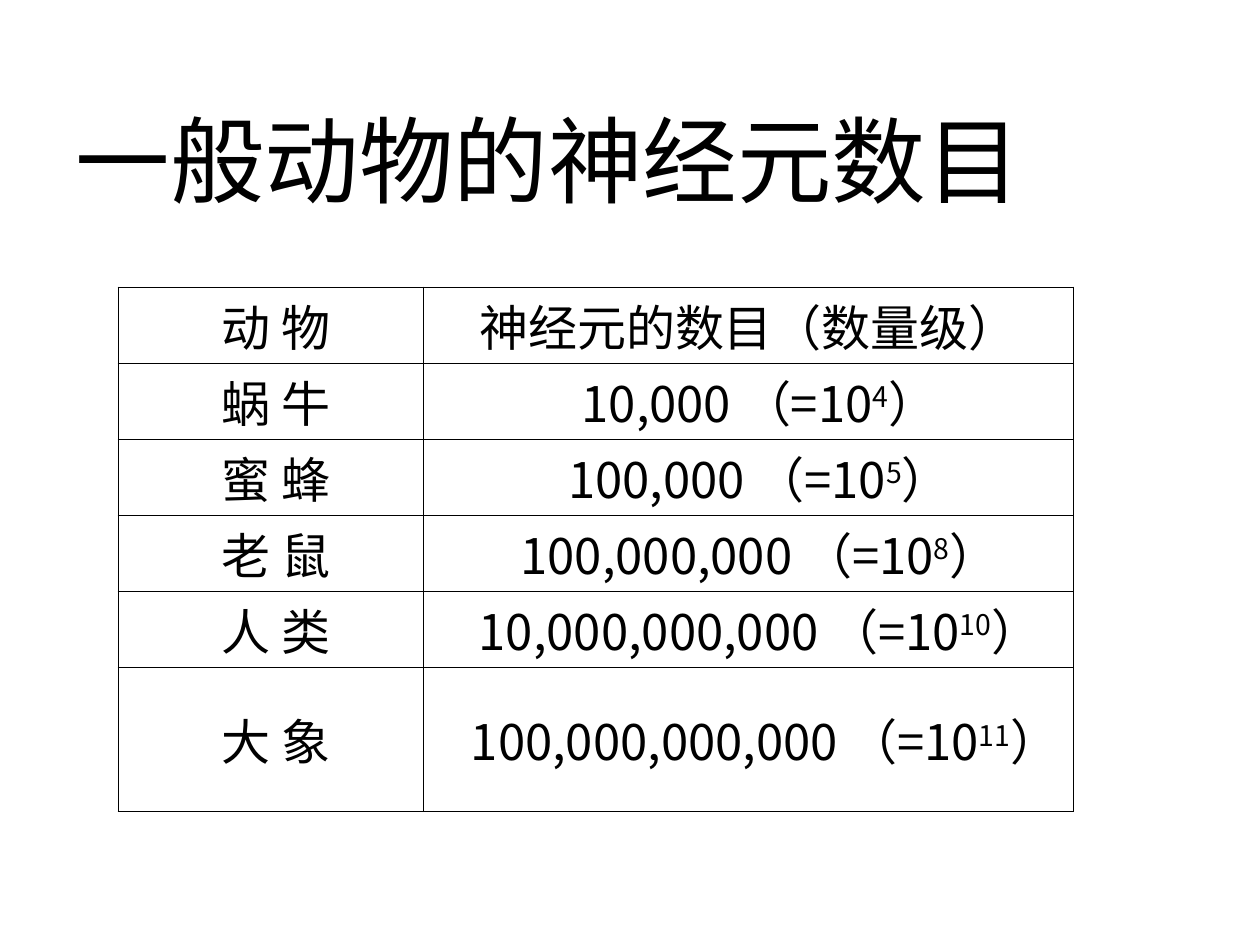
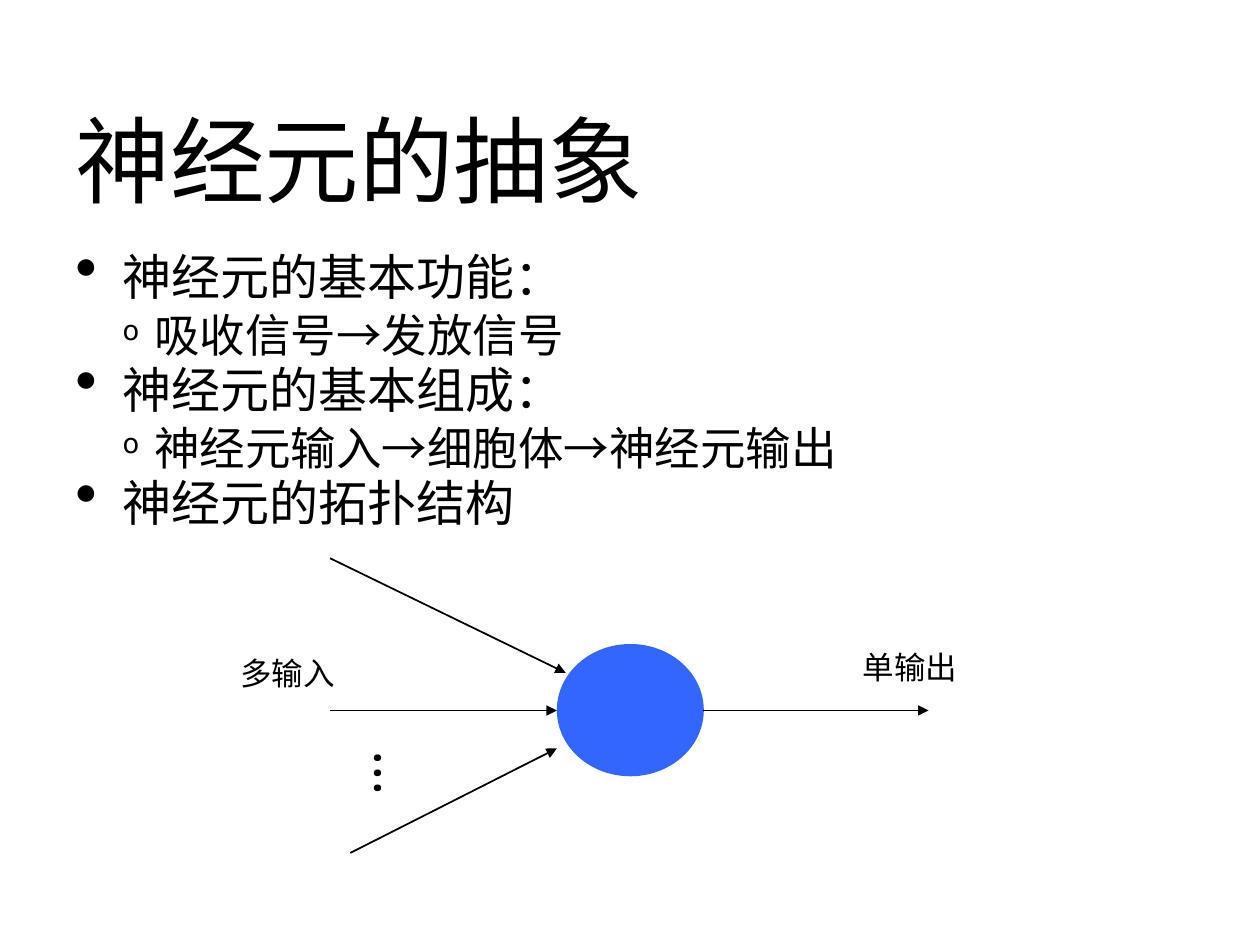
from lxml import etree
from pptx import Presentation
from pptx.dml.color import RGBColor
from pptx.enum.shapes import MSO_CONNECTOR, MSO_SHAPE
from pptx.enum.text import MSO_ANCHOR, MSO_AUTO_SIZE, PP_ALIGN
from pptx.oxml.ns import qn
from pptx.util import Pt

LEFT, CENTER = PP_ALIGN.LEFT, PP_ALIGN.CENTER
TOP, MIDDLE = MSO_ANCHOR.TOP, MSO_ANCHOR.MIDDLE
NO_FIT, GROW = MSO_AUTO_SIZE.NONE, MSO_AUTO_SIZE.SHAPE_TO_FIT_TEXT
STRAIGHT, ELLIPSE = MSO_CONNECTOR.STRAIGHT, MSO_SHAPE.OVAL

BLACK = RGBColor(0x00, 0x00, 0x00)
CELL_BODY_BLUE = RGBColor(0x33, 0x66, 0xFF)
CJK_FONT, SYMBOL_FONT = "Noto Sans CJK SC", "Cambria"
TITLE_ONLY = 5
TITLE_BOX = (36, 54.7, 648, 72)

# Per outline level: size, left margin, hanging indent, bullet, bullet percent
LEVELS = [
    (28, 27, -27, "•", 130),
    (26, 45, -18, "o", 60),
]

ANIMAL_EXPONENTS = [
    ("蜗 牛", 4), ("蜜 蜂", 5), ("老 鼠", 8), ("人 类", 10), ("大 象", 11),
]
NEURON_OUTLINE = [
    (0, "神经元的基本功能："),
    (1, "吸收信号→发放信号"),
    (0, "神经元的基本组成："),
    (1, "神经元输入→细胞体→神经元输出"),
    (0, "神经元的拓扑结构"),
]
INPUT_ARROWS = [
    (188.6, 319, 323.3, 384.5),
    (188.6, 406, 318.2, 406),
    (200.2, 487.4, 318.2, 427.7),
]
OUTPUT_ARROW = (402, 406, 530.6, 406)


def set_all(target, values):
    for name, value in values.items():
        setattr(target, name, value)


def add_xml(parent, tag, **attributes):
    return etree.SubElement(parent, qn(tag), attributes)


class Deck:
    def __init__(self):
        self.presentation = Presentation()
        set_all(self.presentation, {"slide_width": Pt(720), "slide_height": Pt(540)})
        self.slide = None

    def add_slide(self, title):
        layout = self.presentation.slide_layouts[TITLE_ONLY]
        self.slide = self.presentation.slides.add_slide(layout)
        heading = self.slide.shapes.title
        for side, value in zip(("left", "top", "width", "height"), TITLE_BOX):
            setattr(heading, side, Pt(value))
        set_all(heading.text_frame, {
            "auto_size": NO_FIT, "vertical_anchor": MIDDLE, "word_wrap": True})
        paragraph = heading.text_frame.paragraphs[0]
        paragraph.alignment = LEFT
        self.add_run(paragraph, title, 54)

    def add_run(self, paragraph, text, size, font=CJK_FONT, superscript=False):
        run = paragraph.add_run()
        run.text = text
        set_all(run.font, {"size": Pt(size), "name": font, "bold": False})
        run.font.color.rgb = BLACK
        properties = run.font._element
        add_xml(properties, "a:ea", typeface=font)
        if superscript:
            properties.set("baseline", "30000")

    def add_text_box(self, box, auto_size=GROW):
        frame = self.slide.shapes.add_textbox(*map(Pt, box)).text_frame
        set_all(frame, {
            "word_wrap": True, "auto_size": auto_size, "vertical_anchor": TOP})
        return frame

    def add_label(self, text, box, size=18, font=CJK_FONT, vertical=None):
        frame = self.add_text_box(box)
        if vertical:
            frame._txBody.bodyPr.set("vert", vertical)
        self.add_run(frame.paragraphs[0], text, size, font)

    def add_outline(self, items, box):
        frame = self.add_text_box(box, NO_FIT)
        frame.margin_top = Pt(8)
        for index, (level, text) in enumerate(items):
            paragraph = frame.add_paragraph() if index else frame.paragraphs[0]
            size, margin, indent, bullet, percent = LEVELS[level]
            set_all(paragraph, {"level": level, "line_spacing": Pt(32.3)})
            properties = paragraph._p.get_or_add_pPr()
            properties.set("marL", str(Pt(margin)))
            properties.set("indent", str(Pt(indent)))
            add_xml(properties, "a:buSzPct", val=str(percent * 1000))
            add_xml(properties, "a:buChar", char=bullet)
            self.add_run(paragraph, text, size)

    def add_table(self, rows, box, column_widths):
        """Each cell is a first-line indent and a list of (text, superscript)."""
        frame = self.slide.shapes.add_table(
            len(rows), len(column_widths), *map(Pt, box))
        table = frame.table
        set_all(table, {"first_row": False, "horz_banding": False})
        for column, width in zip(table.columns, column_widths):
            column.width = Pt(width)
        for row, contents in zip(table.rows, rows):
            row.height = Pt(box[3] / len(rows))
            for cell, (indent, pieces) in zip(row.cells, contents):
                self.format_cell(cell)
                paragraph = cell.text_frame.paragraphs[0]
                paragraph.alignment = CENTER
                paragraph._p.get_or_add_pPr().set("indent", str(Pt(indent)))
                for text, superscript in pieces:
                    self.add_run(paragraph, text, 28, superscript=superscript)

    def format_cell(self, cell):
        margins = ("margin_left", "margin_top", "margin_right", "margin_bottom")
        set_all(cell, dict.fromkeys(margins, Pt(0.72)))
        cell.vertical_anchor = MIDDLE
        properties = cell._tc.get_or_add_tcPr()
        for side in ("a:lnL", "a:lnR", "a:lnT", "a:lnB"):
            border = add_xml(properties, side, w=str(Pt(1)))
            add_xml(add_xml(border, "a:solidFill"), "a:srgbClr", val=str(BLACK))
        cell.fill.background()

    def add_ellipse(self, box, color):
        ellipse = self.slide.shapes.add_shape(ELLIPSE, *map(Pt, box))
        ellipse.shadow.inherit = False
        ellipse.fill.solid()
        ellipse.fill.fore_color.rgb = color
        ellipse.line.fill.background()

    def add_arrow(self, ends):
        arrow = self.slide.shapes.add_connector(STRAIGHT, *map(Pt, ends))
        arrow.line.width = Pt(1)
        arrow.line.color.rgb = BLACK
        add_xml(arrow.line._get_or_add_ln(), "a:tailEnd", type="triangle")
        add_xml(arrow._element.spPr, "a:effectLst")


def add_neuron_count_slide(deck):
    deck.add_slide("一般动物的神经元数目")
    rows = [[(6, [("动 物", False)]), (0, [("神经元的数目（数量级）", False)])]]
    for animal, exponent in ANIMAL_EXPONENTS:
        count = [(f"{10 ** exponent:,} （=10", False),
                 (str(exponent), True), ("）", False)]
        count_indent = 19 if exponent == 11 else 12.5
        rows.append([(6, [(animal, False)]), (count_indent, count)])
    deck.add_table(rows, (67.7, 164.2, 545.8, 260.6), (174.2, 371.6))


def add_neuron_model_slide(deck):
    deck.add_slide("神经元的抽象")
    deck.add_outline(NEURON_OUTLINE, (36, 133.9, 663.8, 385.2))
    deck.add_ellipse((318.2, 368, 84, 75.6), CELL_BODY_BLUE)
    for ends in [*INPUT_ARROWS, OUTPUT_ARROW]:
        deck.add_arrow(ends)
    deck.add_label("…", (195.1, 419.8, 58.3, 33.8), 36, SYMBOL_FONT, "eaVert")
    deck.add_label("多输入", (130.3, 370, 90, 28.8))
    deck.add_label("单输出", (486, 366.5, 90, 28.8))


def main():
    deck = Deck()
    add_neuron_count_slide(deck)
    add_neuron_model_slide(deck)
    deck.presentation.save("out.pptx")


if __name__ == "__main__":
    main()
